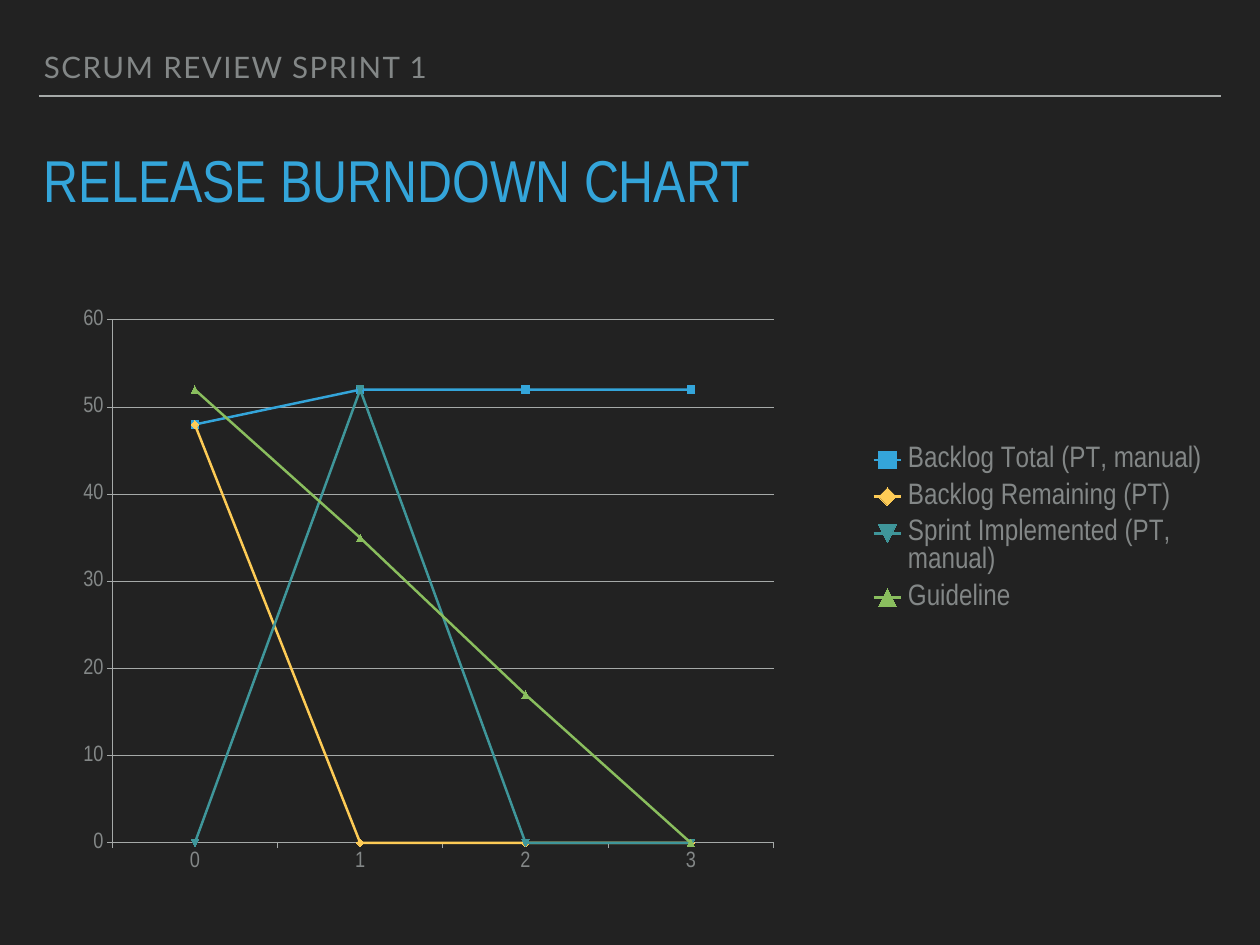
"""Build the release burndown slide of a sprint review."""
from dataclasses import dataclass

from lxml.etree import SubElement
from pptx import Presentation
from pptx.chart.data import CategoryChartData as ChartData
from pptx.dml.color import RGBColor
from pptx.enum.chart import XL_CHART_TYPE as ChartType
from pptx.enum.chart import XL_LEGEND_POSITION as LegendPosition
from pptx.enum.chart import XL_TICK_MARK as TickMark
from pptx.enum.shapes import MSO_CONNECTOR as Connector
from pptx.enum.text import MSO_ANCHOR as Anchor
from pptx.oxml import parse_xml
from pptx.oxml.ns import nsdecls, qn
from pptx.util import Pt

HEADER = "SCRUM REVIEW SPRINT 1"
TITLE = "RELEASE BURNDOWN CHART"
SPRINTS = ["0", "1", "2", "3"]
SERIES = [
    ("Backlog Total (PT, manual)", [48, 52, 52, 52], "34A5DA"),
    ("Backlog Remaining (PT)", [48, 0, 0, 0], "FDCB56"),
    ("Sprint Implemented (PT, manual)", [0, 52, 0, 0], "3F969A"),
    ("Guideline", [52, 35, 17, 0], "8ABE5E"),
]

SLIDE_SIZE = (1260, 945)
HEADER_BOX = (39, 49, 1083, 40)
RULE = (39, 96, 1221, 96)
TITLE_BOX = (39, 152, 1181, 70)
CHART_BOX = (39, 279, 1181, 611)
PLOT_AREA = (112, 320, 661, 523)
LEGEND_AREA = (855, 437, 365, 183)
INSET = 5
PIXEL = 914400 / 88.6


@dataclass(frozen=True)
class Theme:
    background: str = "222222"
    rule: str = "A6AAA9"
    muted: str = "838787"
    accent: str = "34A5DA"
    header_font: str = "Lato"
    font: str = "Arial Narrow"
    header_size: int = 24
    title_size: int = 48
    axis_size: int = 18
    legend_size: int = 24


THEME = Theme()


def emu(*pixels):
    return [round(pixel * PIXEL) for pixel in pixels]


def set_font(font, name, size, color):
    font.name, font.size = name, Pt(size)
    font.color.rgb = RGBColor.from_string(color)


def set_line(line, color, width):
    line.color.rgb = RGBColor.from_string(color)
    line.width = Pt(width)


def add_text(slide, box, text, name, size, color, anchor, spacing=0):
    frame = slide.shapes.add_textbox(*emu(*box)).text_frame
    frame.word_wrap = True
    frame.vertical_anchor = anchor
    frame.margin_left, frame.margin_top, frame.margin_right, frame.margin_bottom = emu(*[INSET] * 4)
    paragraph = frame.paragraphs[0]
    paragraph.line_spacing = 0.8
    run = paragraph.add_run()
    run.text = text
    set_font(paragraph.font, name, size, color)
    if spacing:
        run.font._element.set("spc", str(round(spacing * 100)))


def add_rule(slide):
    rule = slide.shapes.add_connector(Connector.STRAIGHT, *emu(*RULE))
    set_line(rule.line, THEME.rule, 2)
    SubElement(rule._element.spPr, qn("a:effectLst"))


def place(parent, index, area, inner=False):
    for layout in parent.findall(qn("c:layout")):
        parent.remove(layout)
    left, top, width, height = CHART_BOX
    fractions = {
        "x": (area[0] - left) / width,
        "y": (area[1] - top) / height,
        "w": area[2] / width,
        "h": area[3] / height,
    }
    target = '<c:layoutTarget val="inner"/>' if inner else ""
    modes = "".join(f'<c:{key}Mode val="edge"/>' for key in "xy")
    values = "".join(f'<c:{key} val="{value:.3f}"/>' for key, value in fractions.items())
    layout = parse_xml(
        f'<c:layout {nsdecls("c")}><c:manualLayout>{target}{modes}{values}</c:manualLayout></c:layout>'
    )
    parent.insert(index, layout)


def add_burndown(slide):
    data = ChartData(number_format="0")
    data.categories = SPRINTS
    for name, values, _ in SERIES:
        data.add_series(name, values)
    chart = slide.shapes.add_chart(ChartType.LINE_MARKERS, *emu(*CHART_BOX), data).chart
    chart.has_title = False
    chart.plots[0].vary_by_categories = False
    set_font(chart.font, THEME.font, THEME.axis_size, THEME.muted)

    for series, (_, _, color) in zip(chart.plots[0].series, SERIES):
        series.smooth = False
        set_line(series.format.line, color, 2)
        series.marker.size = 6
        series.marker.format.fill.solid()
        series.marker.format.fill.fore_color.rgb = RGBColor.from_string(color)
        series.marker.format.line.fill.background()

    for axis in (chart.category_axis, chart.value_axis):
        axis.major_tick_mark = TickMark.OUTSIDE
        axis.minor_tick_mark = TickMark.NONE
        set_line(axis.format.line, THEME.rule, 0.75)
        set_font(axis.tick_labels.font, THEME.font, THEME.axis_size, THEME.muted)
    scale = chart.value_axis
    scale.minimum_scale, scale.maximum_scale, scale.major_unit = 0, 60, 10
    scale.has_major_gridlines = True
    set_line(scale.major_gridlines.format.line, THEME.rule, 0.75)

    chart.has_legend = True
    legend = chart.legend
    legend.position = LegendPosition.RIGHT
    legend.include_in_layout = False
    set_font(legend.font, THEME.font, THEME.legend_size, THEME.muted)
    place(legend._element, 1, LEGEND_AREA)
    place(chart._chartSpace.chart.plotArea, 0, PLOT_AREA, inner=True)


presentation = Presentation()
presentation.slide_width, presentation.slide_height = emu(*SLIDE_SIZE)
slide = presentation.slides.add_slide(presentation.slide_layouts[6])
slide.background.fill.solid()
slide.background.fill.fore_color.rgb = RGBColor.from_string(THEME.background)
add_rule(slide)
add_text(slide, HEADER_BOX, HEADER, THEME.header_font, THEME.header_size, THEME.muted, Anchor.BOTTOM, 1.2)
add_text(slide, TITLE_BOX, TITLE, THEME.font, THEME.title_size, THEME.accent, Anchor.TOP)
add_burndown(slide)
presentation.save("out.pptx")
